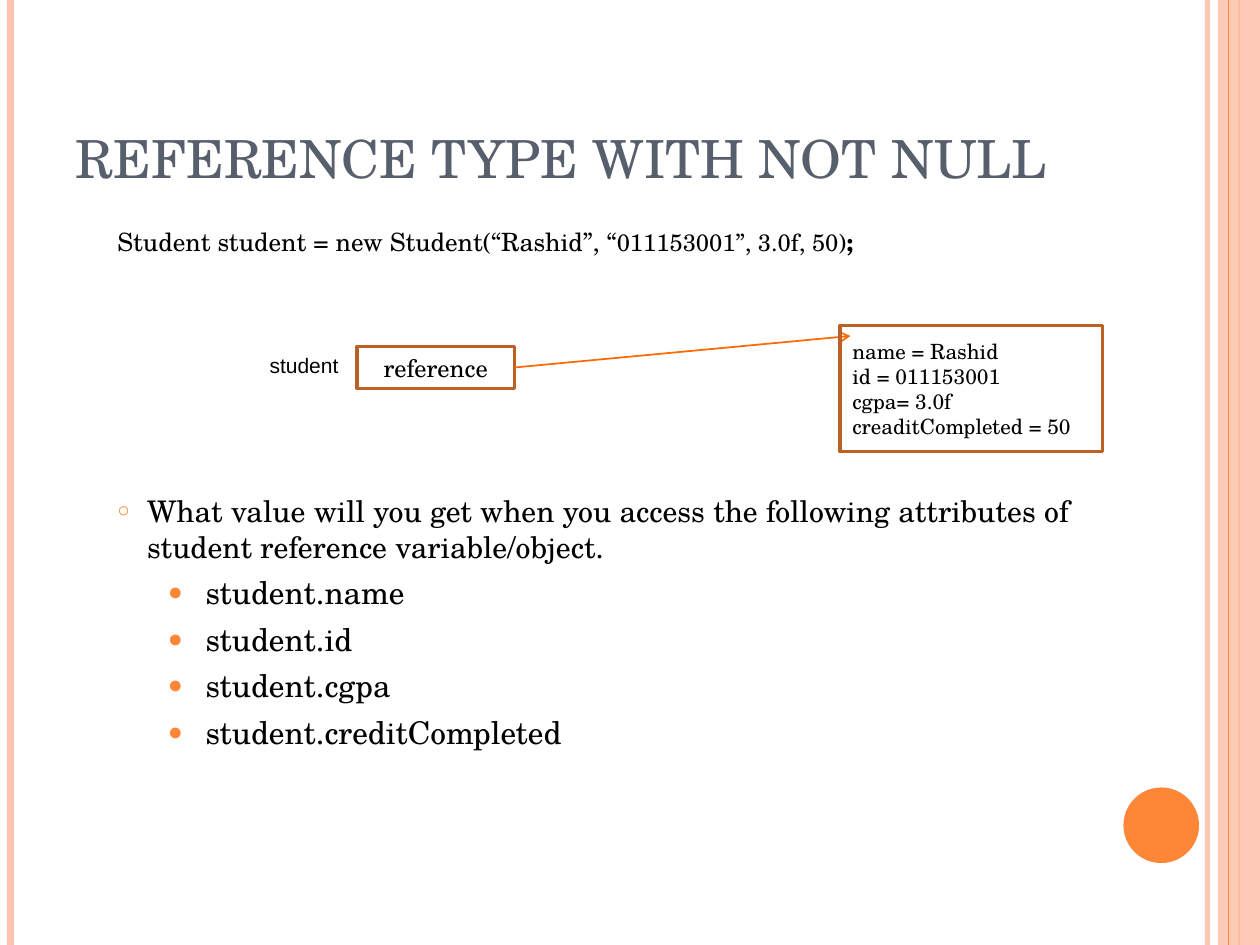
import pptx
import pptx.dml.color
import pptx.enum.shapes
import pptx.enum.text
import pptx.oxml
import pptx.oxml.ns
import pptx.util

Pt = pptx.util.Pt
SHAPE = pptx.enum.shapes.MSO_SHAPE
ALIGN = pptx.enum.text.PP_ALIGN
ANCHOR = pptx.enum.text.MSO_ANCHOR

WIDTH, HEIGHT = 720, 540
SERIF, SANS = "TeX Gyre Schola", "Arial"
BLACK, TITLE = "000000", "575F6D"
ORANGE, PEACH, BROWN, ARROW = "FE8637", "FEC3AE", "BB6126", "FF6903"


def rgb(color):
    return pptx.dml.color.RGBColor.from_string(color)


def make(tag, **attrs):
    el = pptx.oxml.parse_xml(f"<{tag} {pptx.oxml.ns.nsdecls('a')}/>")
    for name, value in attrs.items():
        el.set(name, str(value))
    return el


def set_alpha(s, percent):
    """Make the first solid colour of a shape or line partly transparent."""
    color = s._element.spPr.find(".//" + pptx.oxml.ns.qn("a:srgbClr"))
    color.append(make("a:alpha", val=percent * 1000))


def set_bullet(p, char, percent, left, hang):
    pPr = p._p.get_or_add_pPr()
    pPr.set("marL", str(Pt(left)))
    pPr.set("indent", str(-Pt(hang)))
    color = make("a:buClr")
    color.append(make("a:srgbClr", val=ORANGE))
    pPr.extend([color, make("a:buSzPct", val=percent * 1000),
                make("a:buFont", typeface=SANS), make("a:buChar", char=char)])


def add_run(p, text, size=14, font=SERIF, color=BLACK, bold=False):
    r = p.add_run()
    r.text = text
    r.font.size = Pt(size)
    r.font.name = font
    r.font.bold = bold
    r.font.color.rgb = rgb(color)


def next_paragraph(tf):
    """Return the empty first paragraph, or a new one after the last."""
    return tf.add_paragraph() if tf.paragraphs[0].runs else tf.paragraphs[0]


def add_text_box(slide, x, y, w, h, anchor=ANCHOR.TOP):
    tf = slide.shapes.add_textbox(Pt(x), Pt(y), Pt(w), Pt(h)).text_frame
    tf.word_wrap = True
    tf.vertical_anchor = anchor
    return tf


def add_shape(slide, kind, x, y, w, h, fill=None, line=None):
    s = slide.shapes.add_shape(kind, Pt(x), Pt(y), Pt(w), Pt(h))
    s.shadow.inherit = False
    if fill:
        s.fill.solid()
        s.fill.fore_color.rgb = rgb(fill)
    else:
        s.fill.background()
    if line:
        s.line.color.rgb = rgb(line)
        s.line.width = Pt(2)
    else:
        s.line.fill.background()
    return s


def add_line(slide, x1, y1, x2, y2, color, width):
    s = slide.shapes.add_connector(
        pptx.enum.shapes.MSO_CONNECTOR.STRAIGHT, Pt(x1), Pt(y1), Pt(x2), Pt(y2))
    s.line.color.rgb = rgb(color)
    s.line.width = Pt(width)
    s._element.spPr.append(make("a:effectLst"))
    return s


def add_boxed_text(slide, x, y, w, h, lines, size, align):
    s = add_shape(slide, SHAPE.RECTANGLE, x, y, w, h, line=BROWN)
    tf = s.text_frame
    tf.word_wrap = True
    tf.vertical_anchor = ANCHOR.MIDDLE
    for text in lines:
        p = next_paragraph(tf)
        p.alignment = align
        add_run(p, text, size=size)
    return s


def add_frame(slide):
    """Draw the stripes along both edges and the corner disc."""
    stripe = add_line(slide, 690, 0, 690, HEIGHT, PEACH, 3)
    set_alpha(stripe, 93)
    add_line(slide, 6, 0, 6, HEIGHT, PEACH, 4.5)
    add_line(slide, 708, 0, 708, HEIGHT, ORANGE, 1.5)
    band = add_shape(slide, SHAPE.RECTANGLE, 696, 0, 24, HEIGHT, fill=PEACH)
    set_alpha(band, 87)
    add_line(slide, 702, 0, 702, HEIGHT, ORANGE, 0.75)
    add_shape(slide, SHAPE.OVAL, 642, 450, 43.2, 43.2, fill=ORANGE)


def add_headings(slide):
    tf = add_text_box(slide, 36, 21.6, 588, 90, ANCHOR.BOTTOM)
    add_run(tf.paragraphs[0], "REFERENCE TYPE WITH NOT NULL", size=30, color=TITLE)

    p = add_text_box(slide, 60, 126, 588, 28).paragraphs[0]
    add_run(p, "Student student = new Student(“Rashid”, “", size=14.4)
    add_run(p, "011153001”, 3.0f, 50)", size=13.6)
    add_run(p, ";", size=14.4, bold=True)


def add_diagram(slide):
    reference = add_boxed_text(slide, 204, 198, 90, 24, ["reference"], 14, ALIGN.CENTER)
    label = add_text_box(slide, 147, 198, 69, 22)
    add_run(label.paragraphs[0], "student", size=12, font=SANS)
    fields = ["name = Rashid", "id = 011153001", "cgpa= 3.0f", "creaditCompleted = 50"]
    arrow = add_line(slide, 294, 210, 486, 192, ARROW, 1)
    arrow.begin_connect(reference, 3)
    arrow.line._get_or_add_ln().append(make("a:tailEnd", type="arrow"))
    add_boxed_text(slide, 480, 186, 150, 72, fields, 12, ALIGN.LEFT)


def add_questions(slide):
    tf = add_text_box(slide, 60, 278, 588, 160)
    p = next_paragraph(tf)
    set_bullet(p, "○", 70, 17, 17)
    add_run(p, "What value will you get when you access the following attributes "
               "of student reference variable/object.", size=17)
    for name in ["name", "id", "cgpa", "creditCompleted"]:
        p = next_paragraph(tf)
        p.level = 1
        p.space_before = Pt(5.2)
        set_bullet(p, "●", 80, 50.4, 21.6)
        add_run(p, f"student.{name}", size=17.9)


def main():
    prs = pptx.Presentation()
    prs.slide_width, prs.slide_height = Pt(WIDTH), Pt(HEIGHT)
    slide = prs.slides.add_slide(prs.slide_layouts[6])
    add_frame(slide)
    add_headings(slide)
    add_diagram(slide)
    add_questions(slide)
    prs.save("out.pptx")


if __name__ == "__main__":
    main()
